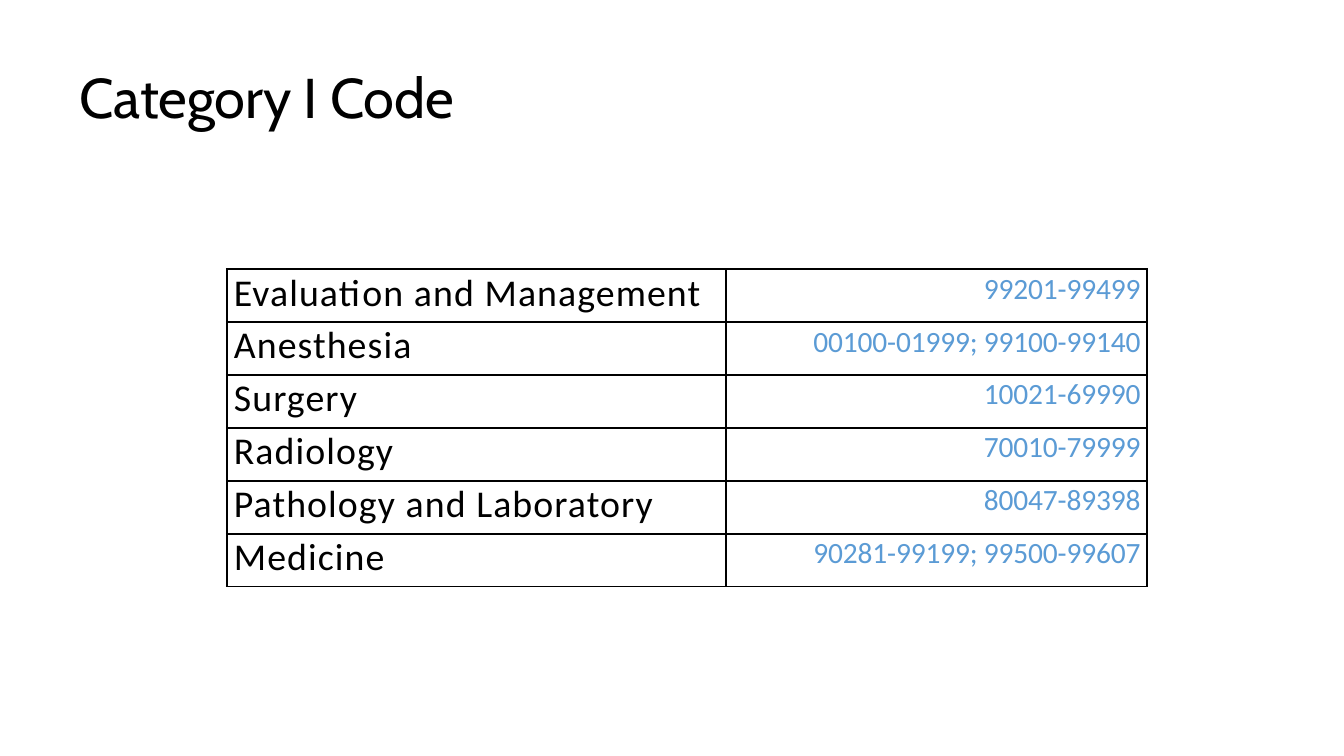
from lxml.etree import SubElement
from pptx import Presentation
from pptx.dml.color import RGBColor
from pptx.enum.text import MSO_ANCHOR as Anchor, MSO_AUTO_SIZE as AutoSize, PP_ALIGN as Align
from pptx.oxml.ns import qn
from pptx.util import Inches, Pt

BLACK = "000000"
BLUE = "5B9BD5"
CODE_RANGES = [
    ("Evaluation and Management", "99201-99499"),
    ("Anesthesia", "00100-01999; 99100-99140"),
    ("Surgery", "10021-69990"),
    ("Radiology", "70010-79999"),
    ("Pathology and Laboratory", "80047-89398"),
    ("Medicine", "90281-99199; 99500-99607"),
]


def paint(color_format, color):
    color_format.rgb = RGBColor.from_string(color)


def write(para, text, font, size, color, spacing, align=Align.LEFT, before=0.0):
    """Fill a paragraph; spacing is the letter spacing in points."""
    span = para.add_run()
    span.text = text
    span._r.get_or_add_rPr().set("spc", str(round(spacing * 100)))
    para.font.name = font
    para.font.size = Pt(size)
    paint(para.font.color, color)
    para.alignment = align
    para.space_before = Pt(before)


def add_title(page, text):
    title = page.shapes.title
    title.left, title.top = Inches(0.79), Inches(0.61)
    title.width, title.height = Inches(9.31), Inches(0.69)
    frame = title.text_frame
    frame.margin_left = frame.margin_right = frame.margin_bottom = 0
    frame.margin_top = Inches(0.01)
    frame.vertical_anchor = Anchor.TOP
    frame.auto_size = AutoSize.SHAPE_TO_FIT_TEXT
    write(frame.paragraphs[0], text, "Cabin", 40, BLACK, -0.1, before=1)


def add_borders(cell, color, width):
    properties = cell._tc.get_or_add_tcPr()
    for side in ("lnL", "lnR", "lnT", "lnB"):
        line = SubElement(properties, qn(f"a:{side}"), w=str(Pt(width)))
        fill = SubElement(line, qn("a:solidFill"))
        SubElement(fill, qn("a:srgbClr"), val=color)


def format_cell(cell, margin_top):
    add_borders(cell, BLACK, 1.5)
    cell.fill.background()
    cell.margin_left = cell.margin_right = Inches(0.07)
    cell.margin_top, cell.margin_bottom = Inches(margin_top), 0
    cell.vertical_anchor = Anchor.TOP


def add_code_table(page, entries):
    table = page.shapes.add_table(
        len(entries), 2, Inches(2.25), Inches(2.67), Inches(9.13), Inches(3.15)
    ).table
    table.first_row = table.horz_banding = False
    table.columns[0].width = Inches(4.95)
    table.columns[1].width = Inches(4.18)
    for row, (section, codes) in enumerate(entries):
        section_cell, code_cell = table.cell(row, 0), table.cell(row, 1)
        format_cell(section_cell, 0.01)
        write(section_cell.text_frame.paragraphs[0], section, "Calibri", 27, BLACK, 0.8,
              before=0.8)
        format_cell(code_cell, 0.02)
        write(code_cell.text_frame.paragraphs[0], codes, "Calibri", 21, BLUE, -0.1,
              Align.RIGHT, 1.7)


def main():
    deck = Presentation()
    deck.slide_width, deck.slide_height = Inches(13.33), Inches(7.5)
    # Title Only layout
    page = deck.slides.add_slide(deck.slide_layouts[5])
    add_title(page, "Category I Code")
    # Sections with their code ranges
    add_code_table(page, CODE_RANGES)
    deck.save("out.pptx")


if __name__ == "__main__":
    main()
